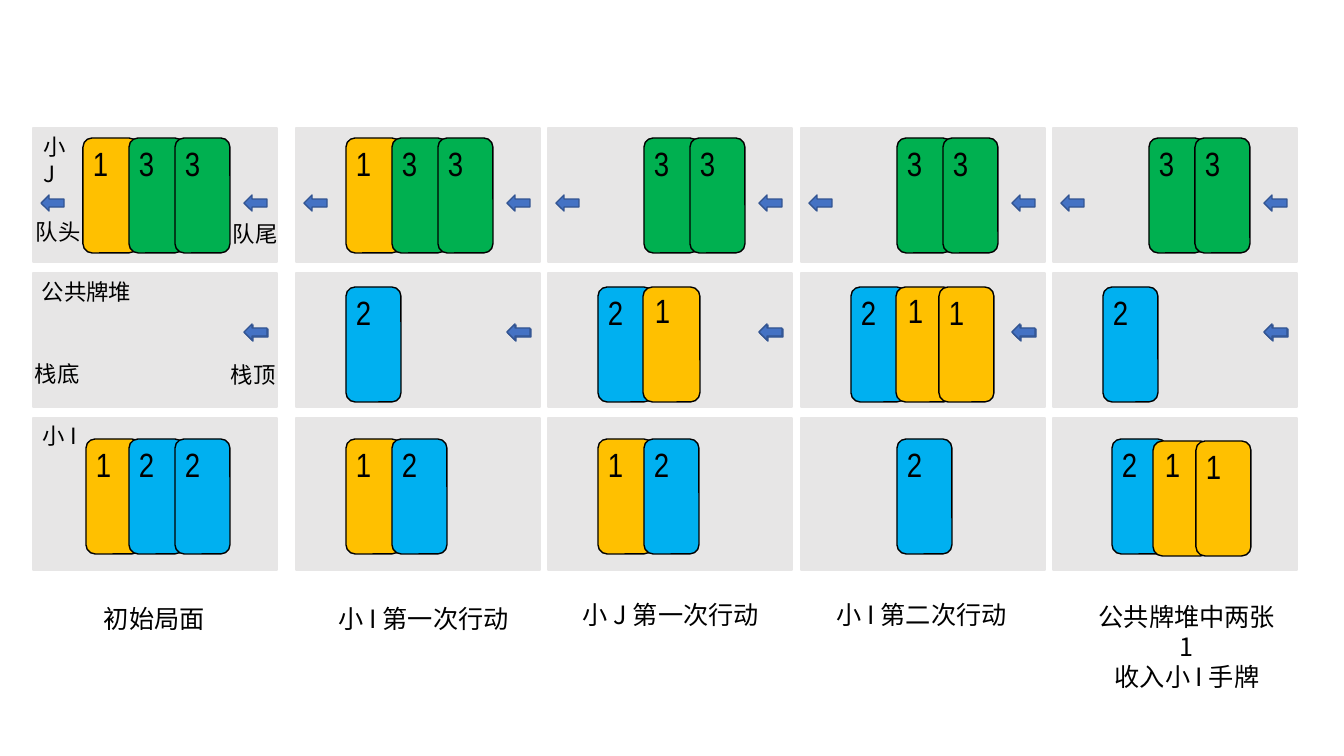
"""Build the slide that follows a card game through five stages."""
from collections import namedtuple

from lxml.etree import SubElement
from pptx import Presentation
from pptx.dml.color import RGBColor
from pptx.enum.shapes import MSO_SHAPE
from pptx.enum.text import MSO_AUTO_SIZE, PP_ALIGN
from pptx.oxml.ns import qn
from pptx.util import Emu, Pt

Card = namedtuple("Card", "digit left drop width", defaults=(0, 55))
Theme = namedtuple(
    "Theme", "panel arrow arrow_line ink cards font digit_font label caption digit")

THEME = Theme(
    panel="E7E6E6", arrow="4472C4", arrow_line="325491", ink="000000",
    cards={"1": "FFC000", "2": "00B0F0", "3": "00B050"},
    font="Noto Sans CJK SC", digit_font="Arial Narrow",
    label=16, caption=18, digit=24)

SLOTS = (50, 96, 142)
WIDE = 57
QUEUE_FULL = [Card(digit, left) for digit, left in zip("133", SLOTS)]
QUEUE_SHORT = QUEUE_FULL[1:]
PILE_TWO = Card("2", 50)
PILE_ONE = Card("1", 95, 0, WIDE)
HAND_PAIR = [Card("1", 50), Card("2", 96)]

STAGES = [
    (33, QUEUE_FULL, [], [Card("1", 53), Card("2", 96), Card("2", 142)]),
    (296, QUEUE_FULL, [PILE_TWO], HAND_PAIR),
    (548, QUEUE_SHORT, [PILE_TWO, PILE_ONE], HAND_PAIR),
    (801, QUEUE_SHORT, [PILE_TWO, PILE_ONE, Card("1", 138)], [Card("2", 96)]),
    (1053, QUEUE_SHORT, [PILE_TWO],
     [Card("2", 59), Card("1", 100, 2, WIDE), Card("1", 143, 2)]),
]
ROWS = [(128, 134, 138), (273, 134, 287), (418, 152, 439)]
ARROWS = [(8, 195), (211, 195), (212, 325), (211, 324)]

CAPTIONS = [
    (["初始局面"], 94, 598, 122, False, PP_ALIGN.LEFT),
    (["小 I 第一次行动"], 329, 598, 194, True, PP_ALIGN.LEFT),
    (["小 J 第一次行动"], 573, 594, 196, True, PP_ALIGN.LEFT),
    (["小 I 第二次行动"], 827, 594, 194, True, PP_ALIGN.LEFT),
    (["公共牌堆中两张 1", "收入小 I 手牌"], 1081, 596, 212, True, PP_ALIGN.CENTER),
]
LABELS = [
    ("队头", 26, 213, 66, False),
    ("队尾", 223, 215, 66, False),
    ("栈顶", 221, 356, 66, False),
    ("栈底", 25, 355, 66, False),
    ("小 J", 34, 128, 56, True),
    ("小 I", 33, 417, 54, True),
    ("公共牌堆", 32, 273, 111, False),
]


def px(length):
    """Turn pixels into EMU."""
    return Emu(round(length * 914400 / 100.8))


def add_box(slide, kind, left, top, width, height, fill, line, rotation=0):
    """Add a filled and outlined preset shape."""
    shape = slide.shapes.add_shape(kind, px(left), px(top), px(width), px(height))
    shape.shadow.inherit = False
    shape.fill.solid()
    shape.fill.fore_color.rgb = RGBColor.from_string(fill)
    shape.line.color.rgb = RGBColor.from_string(line)
    shape.line.width = Pt(1)
    shape.rotation = rotation


def add_text(slide, lines, left, top, width, height, *, size,
             font=THEME.font, align=PP_ALIGN.LEFT, wrap=True):
    """Add a text box with one paragraph per line."""
    box = slide.shapes.add_textbox(px(left), px(top), px(width), px(height))
    frame = box.text_frame
    frame.word_wrap = wrap
    frame.auto_size = MSO_AUTO_SIZE.SHAPE_TO_FIT_TEXT
    for index, line in enumerate(lines):
        paragraph = frame.add_paragraph() if index else frame.paragraphs[0]
        paragraph.alignment = align
        run = paragraph.add_run()
        run.text = line
        run.font.size = Pt(size)
        run.font.color.rgb = RGBColor.from_string(THEME.ink)
        run.font.name = font
        SubElement(run.font._element, qn("a:ea"), typeface=font)


def add_card(slide, card, column, row_top):
    """Add a playing card with its digit."""
    left, top = column + card.left, row_top + card.drop
    add_box(slide, MSO_SHAPE.ROUNDED_RECTANGLE, left, top, card.width, 115,
            THEME.cards[card.digit], THEME.ink)
    shift = 2 if card.width == WIDE else 0
    add_text(slide, [card.digit], left + shift, top - shift, 25, 50,
             size=THEME.digit, font=THEME.digit_font, align=PP_ALIGN.CENTER)


def main():
    """Lay out the stages, labels and captions."""
    presentation = Presentation()
    presentation.slide_width, presentation.slide_height = px(1344), px(756)
    slide = presentation.slides.add_slide(presentation.slide_layouts[6])
    for column, *piles in STAGES:
        for (top, height, card_top), cards in zip(ROWS, piles):
            add_box(slide, MSO_SHAPE.RECTANGLE, column, top, 244, height,
                    THEME.panel, THEME.panel)
            for card in cards:
                add_card(slide, card, column, card_top)
        for left, top in ARROWS:
            add_box(slide, MSO_SHAPE.RIGHT_ARROW, column + left, top, 23, 16,
                    THEME.arrow, THEME.arrow_line, rotation=180)
    for lines, left, top, width, wrap, align in CAPTIONS:
        add_text(slide, lines, left, top, width, 40 if len(lines) == 1 else 72,
                 size=THEME.caption, align=align, wrap=wrap)
    for text, left, top, width, wrap in LABELS:
        add_text(slide, [text], left, top, width, 37, size=THEME.label, wrap=wrap)
    presentation.save("out.pptx")


if __name__ == "__main__":
    main()
